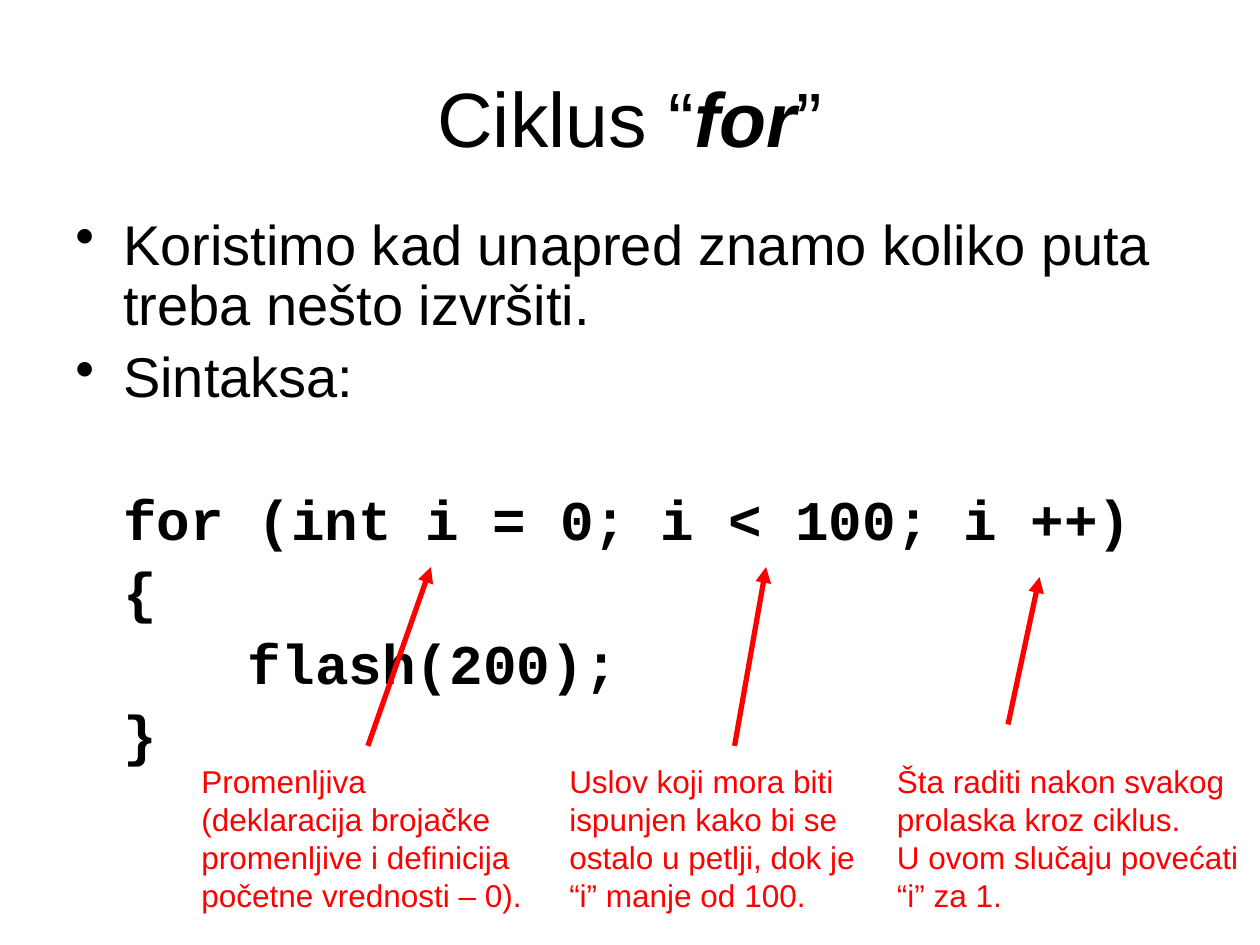
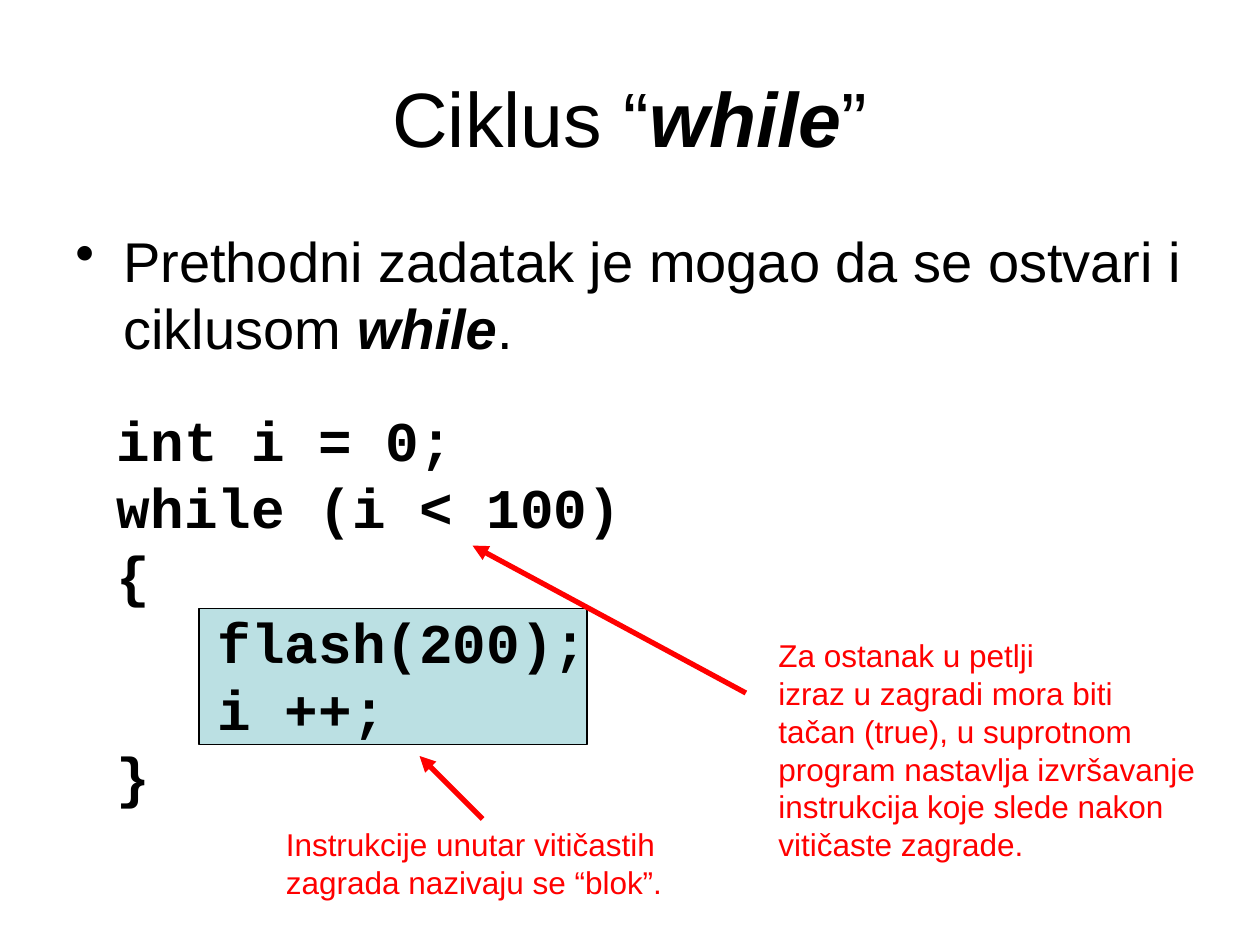
from dataclasses import dataclass

from lxml import etree
from pptx import Presentation
from pptx.dml.color import RGBColor
from pptx.enum.shapes import MSO_CONNECTOR, MSO_SHAPE
from pptx.enum.text import MSO_ANCHOR, MSO_AUTO_SIZE, PP_ALIGN
from pptx.oxml.ns import qn
from pptx.util import Inches, Pt

STRAIGHT = MSO_CONNECTOR.STRAIGHT
RECTANGLE = MSO_SHAPE.RECTANGLE
MIDDLE = MSO_ANCHOR.MIDDLE
CENTER = PP_ALIGN.CENTER
FIT_SHAPE = MSO_AUTO_SIZE.SHAPE_TO_FIT_TEXT

COLORS = {"text": "000000", "note": "FF0000", "block": "BBE0E3"}
SANS, MONO = "Arial", "Courier New"
TITLE_SIZE, BODY_SIZE, NOTE_SIZE = 44, 32, 18
HANG = 0.38  # bullet indent
BODY_GAP = 0.2 * BODY_SIZE  # points before each body paragraph


@dataclass
class Line:
    """A paragraph; text between * marks is bold italic."""
    text: str
    margin: float = 0
    bullet: bool = False
    code: bool = False
    before: float = 0


@dataclass
class Note:
    left: float
    top: float
    width: float
    height: float
    lines: list[str]
    wrap: bool
    arrow_from: tuple[float, float]
    arrow_to: tuple[float, float]


def rgb(name: str) -> RGBColor:
    return RGBColor.from_string(COLORS[name])


def add_text(s, box: tuple, lines: list[Line], size: float, color: str = "text",
             spacing: float | None = None, wrap: bool = True):
    tf = s.shapes.add_textbox(*map(Inches, box)).text_frame
    tf.word_wrap = wrap
    for i, line in enumerate(lines):
        p = tf.paragraphs[0] if i == 0 else tf.add_paragraph()
        p.space_before = Pt(line.before)
        if spacing:
            p.line_spacing = spacing
        pPr = p._p.get_or_add_pPr()
        pPr.set("marL", str(Inches(line.margin)))
        pPr.set("indent", str(Inches(-HANG if line.bullet else 0)))
        if line.bullet:
            etree.SubElement(pPr, qn("a:buChar")).set("char", "•")
        for j, part in enumerate(line.text.split("*")):
            r = p.add_run()
            r.text = part
            r.font.name = MONO if line.code else SANS
            r.font.size = Pt(size)
            r.font.bold = line.code or j % 2 == 1
            r.font.italic = j % 2 == 1
            r.font.color.rgb = rgb(color)
    return tf


def add_title(s, keyword: str) -> None:
    tf = add_text(s, (0.5, 0.3, 9, 1.25), [Line(f"Ciklus “*{keyword}*”")], TITLE_SIZE)
    tf.vertical_anchor = MIDDLE
    tf.paragraphs[0].alignment = CENTER


def add_arrow(s, start: tuple[float, float], end: tuple[float, float]) -> None:
    arrow = s.shapes.add_connector(STRAIGHT, *map(Inches, start + end))
    arrow.line.color.rgb = rgb("note")
    arrow.line.width = Pt(3)
    etree.SubElement(arrow.line._get_or_add_ln(), qn("a:tailEnd")).set("type", "triangle")
    etree.SubElement(arrow._element.spPr, qn("a:effectLst"))


def add_note(s, note: Note) -> None:
    tf = add_text(s, (note.left, note.top, note.width, note.height),
                  [Line(text) for text in note.lines], NOTE_SIZE, "note", wrap=note.wrap)
    tf.auto_size = FIT_SHAPE
    add_arrow(s, note.arrow_from, note.arrow_to)


def bullet(text: str) -> Line:
    return Line(text, HANG, bullet=True, before=BODY_GAP)


def code(text: str, margin: float = 0, before: float = 0) -> Line:
    return Line(text, margin, code=True, before=before)


FOR_BODY = [
    bullet("Koristimo kad unapred znamo koliko puta treba nešto izvršiti."),
    bullet("Sintaksa:"),
    code("for (int i = 0; i < 100; i ++)", HANG, 47.4),
    code("{", HANG, BODY_GAP),
    code("flash(200);", 1.37, BODY_GAP),
    code("}", HANG, BODY_GAP),
]
FOR_NOTES = [
    Note(1.5, 6, 2.74, 1.3,
         ["Promenljiva", "(deklaracija brojačke", "promenljive i definicija",
          "početne vrednosti – 0)."], False, (2.92, 5.92), (3.42, 4.5)),
    Note(4.42, 6, 2.53, 1.3,
         ["Uslov koji mora biti", "ispunjen kako bi se", "ostalo u petlji, dok je",
          "“i” manje od 100."], False, (5.83, 5.92), (6.08, 4.5)),
    Note(7.02, 6, 2.98, 1.3,
         ["Šta raditi nakon svakog", "prolaska kroz ciklus.", "U ovom slučaju povećati",
          "“i” za 1."], False, (8, 5.75), (8.25, 4.58)),
]

WHILE_CODE = [
    code("int i = 0;"),
    code("while (i < 100)"),
    code("{"),
    code("flash(200);", 0.8),
    code("i ++;", 0.8),
    code("}"),
]
WHILE_NOTES = [
    Note(6.08, 5, 3.92, 1.9,
         ["Za ostanak u petlji", "izraz u zagradi mora biti", "tačan (true), u suprotnom",
          "program nastavlja izvršavanje instrukcija koje slede nakon vitičaste zagrade."],
         True, (5.92, 5.5), (3.75, 4.33)),
    Note(2.17, 6.5, 3.33, 0.7,
         ["Instrukcije unutar vitičastih", "zagrada nazivaju se “blok”."],
         True, (3.83, 6.5), (3.33, 6)),
]


def build_for_slide(s) -> None:
    add_title(s, "for")
    add_text(s, (0.5, 1.67, 9, 4.75), FOR_BODY, BODY_SIZE, spacing=0.9)
    for note in FOR_NOTES:
        add_note(s, note)


def build_while_slide(s) -> None:
    # Highlight behind the loop body
    block = s.shapes.add_shape(RECTANGLE, *map(Inches, (1.58, 4.83, 3.08, 1.08)))
    block.shadow.inherit = False
    block.fill.solid()
    block.fill.fore_color.rgb = rgb("block")
    block.line.color.rgb = rgb("text")
    block.line.width = Pt(0.75)

    # Text and code
    add_title(s, "while")
    add_text(s, (0.5, 1.75, 9, 1.17),
             [bullet("Prethodni zadatak je mogao da se ostvari i ciklusom *while*.")], BODY_SIZE)
    add_text(s, (0.83, 3.17, 4.75, 3.83), WHILE_CODE, BODY_SIZE)
    for note in WHILE_NOTES:
        add_note(s, note)


def main() -> None:
    prs = Presentation()
    prs.slide_width, prs.slide_height = Inches(10), Inches(7.5)
    for build in (build_for_slide, build_while_slide):
        build(prs.slides.add_slide(prs.slide_layouts[6]))
    prs.save("out.pptx")


if __name__ == "__main__":
    main()
